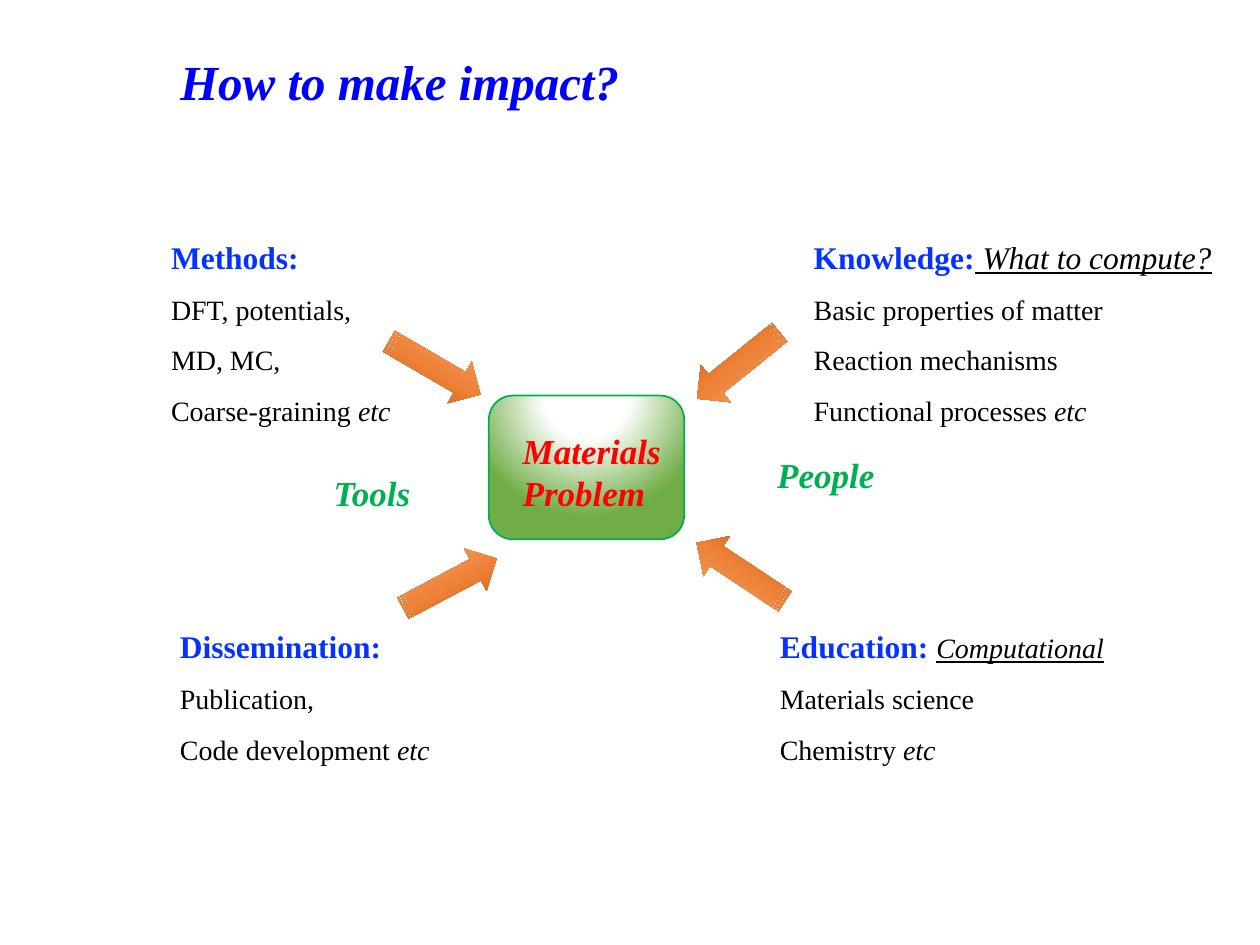
from pptx import Presentation
from pptx.dml.color import RGBColor
from pptx.enum.shapes import MSO_SHAPE
from pptx.enum.text import MSO_ANCHOR, MSO_AUTO_SIZE, PP_ALIGN
from pptx.oxml import parse_xml
from pptx.oxml.ns import nsdecls
from pptx.util import Inches, Pt

ROUND, ARROW = MSO_SHAPE.ROUNDED_RECTANGLE, MSO_SHAPE.STRIPED_RIGHT_ARROW
TOP, LEFT, NONE = MSO_ANCHOR.TOP, PP_ALIGN.LEFT, MSO_AUTO_SIZE.NONE

TITLE = {"size": 28, "color": "0000FF", "bold": True, "italic": True}
CORE = {"size": 20, "color": "FF0000", "bold": True, "italic": True}
SIDE = {**CORE, "color": "00B050"}
HEAD = {"size": 18, "color": "0432FF", "bold": True}
BODY = {"size": 16, "color": "000000"}
ETC = {**BODY, "italic": True}
NOTE = {**ETC, "underline": True}
BIG = {**NOTE, "size": 18}

LABELS = [
    ((4.05, 3.36, 1.37, 0.77), CORE, ["Materials", "Problem"]),
    ((2.55, 3.69, 0.81, 0.44), SIDE, ["Tools"]),
    ((6.07, 3.55, 0.98, 0.44), SIDE, ["People"]),
]
TOPICS = [
    ((1.26, 1.69, 1.97, 1.72), [("Methods:", HEAD)],
     ["DFT, potentials,", "MD, MC,", "Coarse-graining "]),
    ((6.36, 1.69, 3.46, 1.72),
     [("Knowledge:", HEAD), (" What to compute?", BIG)],
     ["Basic properties of matter", "Reaction mechanisms",
      "Functional processes "]),
    ((1.33, 4.78, 2.21, 1.31), [("Dissemination:", HEAD)],
     ["Publication,", "Code development "]),
    ((6.09, 4.78, 2.85, 1.31),
     [("Education: ", HEAD), ("Computational", NOTE)],
     ["Materials science", "Chemistry "]),
]
ARROWS = [(3.03, 2.73, 30.2), (5.44, 2.71, 141.2),
          (3.15, 4.44, 332.1), (5.46, 4.35, 213.5)]
GLOW = [(0, "FFFFFF"), (35, "FFFFFF"), (100, "70AD47")]
RUST = [(0, "B0500F"), (48, "EE8137"), (100, "F4B183")]
RADIAL = ('<a:path path="circle"><a:fillToRect l="50000" t="-80000" '
          'r="50000" b="180000"/></a:path>')
LINEAR = '<a:lin ang="16200000" scaled="1"/>'


def paint(fmt, code):
    fmt.rgb = RGBColor.from_string(code)


def place(shape, box):
    for name, val in zip(("left", "top", "width", "height"), box):
        setattr(shape, name, Inches(val))


def write(shape, rows, gap=1.0):
    frame = shape.text_frame
    for name, val in {"word_wrap": True, "auto_size": NONE,
                      "vertical_anchor": TOP}.items():
        setattr(frame, name, val)
    for num, row in enumerate(rows):
        para = frame.add_paragraph() if num else frame.paragraphs[0]
        para.alignment, para.line_spacing = LEFT, gap
        for text, style in row:
            run = para.add_run()
            run.text = text
            look = {"name": "Times New Roman", **style}
            paint(run.font.color, look.pop("color"))
            look["size"] = Pt(look["size"])
            for name, val in look.items():
                setattr(run.font, name, val)


def draw(slide, kind, box, stops, mode):
    shape = slide.shapes.add_shape(kind, *map(Inches, box))
    shape.shadow.inherit = False
    shape.fill.solid()
    marks = "".join(f'<a:gs pos="{pos * 1000}"><a:srgbClr val="{code}"/></a:gs>'
                    for pos, code in stops)
    grad = parse_xml(f'<a:gradFill {nsdecls("a")} rotWithShape="1">'
                     f'<a:gsLst>{marks}</a:gsLst>{mode}</a:gradFill>')
    props = shape.fill._xPr
    props.replace(props.solidFill, grad)
    return shape


def text(slide, box, rows, gap=1.0):
    write(slide.shapes.add_textbox(*map(Inches, box)), rows, gap)


def main():
    deck = Presentation()
    deck.slide_width, deck.slide_height = Inches(10), Inches(7.5)
    slide = deck.slides.add_slide(deck.slide_layouts[5])
    title = slide.shapes.title
    place(title, (1.33, 0.36, 3.72, 0.57))
    write(title, [[("How to make impact?", TITLE)]])

    core = draw(slide, ROUND, (3.88, 3.14, 1.55, 1.14), GLOW, RADIAL)
    paint(core.line.color, "00B050")
    core.line.width = Pt(1)
    for left, top, turn in ARROWS:
        arrow = draw(slide, ARROW, (left, top, 0.84, 0.38), RUST, LINEAR)
        arrow.line.fill.background()
        arrow.rotation = turn
    for box, style, lines in LABELS:
        text(slide, box, [[(line, style)] for line in lines])
    for box, head, lines in TOPICS:
        rows = [head] + [[(line, BODY)] for line in lines]
        rows[-1].append(("etc", ETC))
        text(slide, box, rows, 1.5)
    deck.save("out.pptx")


if __name__ == "__main__":
    main()
